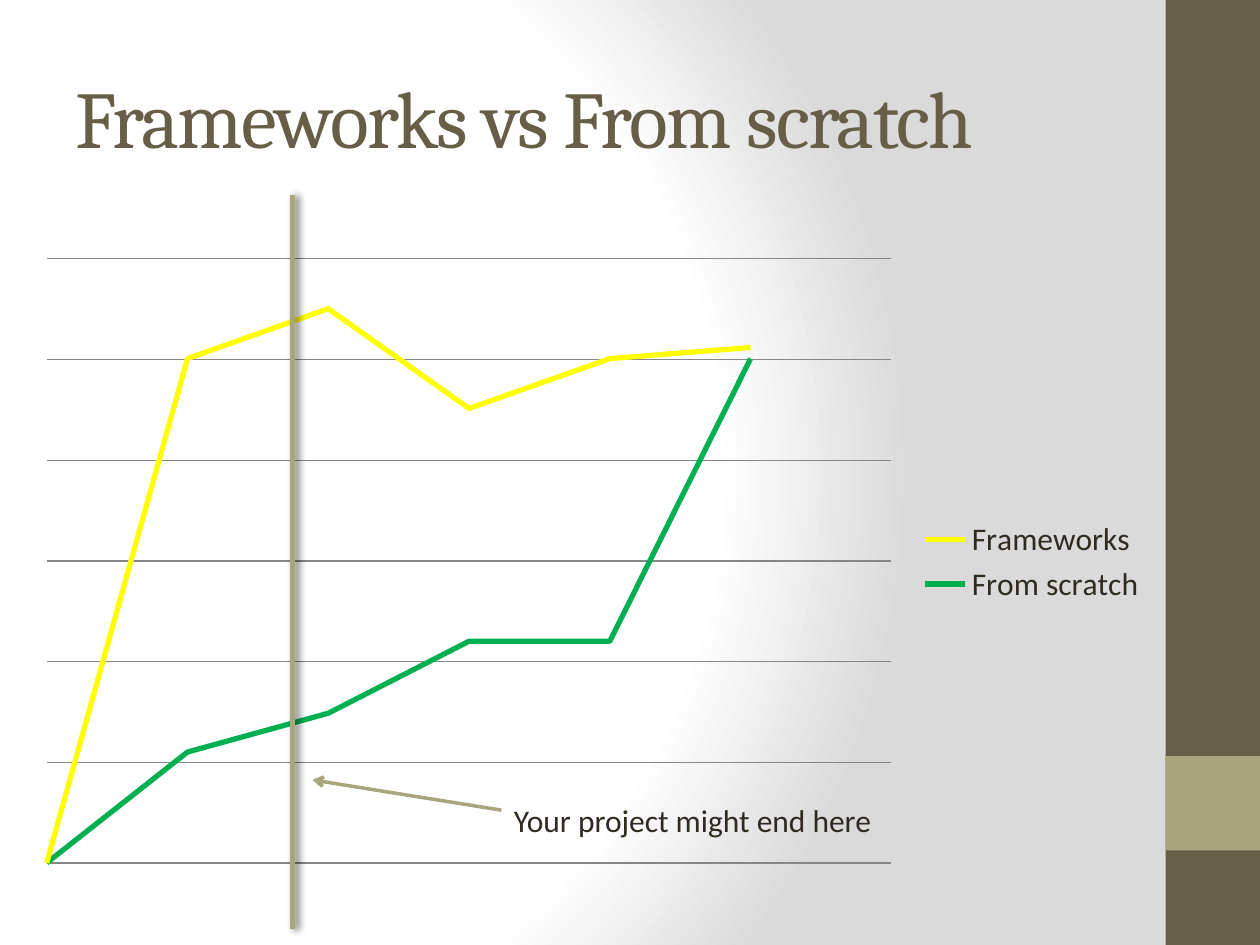
from lxml import etree
from pptx import Presentation
from pptx.chart.data import XyChartData
from pptx.dml.color import RGBColor
from pptx.enum.chart import XL_CHART_TYPE as ChartType, XL_LEGEND_POSITION as LegendPosition
from pptx.enum.shapes import MSO_CONNECTOR as Connector, MSO_SHAPE as Shape
from pptx.enum.text import MSO_ANCHOR as Anchor, MSO_AUTO_SIZE as AutoSize
from pptx.oxml import parse_xml
from pptx.oxml.ns import nsdecls, qn
from pptx.util import Inches, Pt

BROWN = RGBColor(0x67, 0x5E, 0x47)
KHAKI = RGBColor(0xA9, 0xA5, 0x7C)
INK = RGBColor(0x2F, 0x2B, 0x20)
GRID = RGBColor(0x86, 0x86, 0x86)
YELLOW = RGBColor(0xFF, 0xFF, 0x00)
GREEN = RGBColor(0x00, 0xB0, 0x50)
WHITE = RGBColor(0xFF, 0xFF, 0xFF)
SILVER = RGBColor(0xDA, 0xDA, 0xDA)

SERIES = [
    ("Frameworks", YELLOW, [0, 91, 100, 82, 91, 93]),
    ("From scratch", GREEN, [0, 20, 27, 40, 40, 91]),
]
VALUE_MAX = 109
INTERVALS = 6


def set_background(slide):
    stops = "".join(
        f'<a:gs pos="{position * 1000}"><a:srgbClr val="{color}"/></a:gs>'
        for position, color in [(0, WHITE), (75, WHITE), (100, SILVER)]
    )
    background = parse_xml(
        f'<p:bg {nsdecls("p", "a")}><p:bgPr><a:gradFill rotWithShape="1">'
        f'<a:gsLst>{stops}</a:gsLst><a:path path="circle">'
        '<a:fillToRect l="20000" t="50000" r="100000" b="50000"/></a:path>'
        '</a:gradFill><a:effectLst/></p:bgPr></p:bg>'
    )
    slide.element.cSld.insert(0, background)


def add_block(slide, left, top, width, height, color):
    block = slide.shapes.add_shape(
        Shape.RECTANGLE, Inches(left), Inches(top), Inches(width), Inches(height))
    block.shadow.inherit = False
    block.fill.solid()
    block.fill.fore_color.rgb = color
    block.line.fill.background()


def add_sidebar(slide, left, top, width, height):
    add_block(slide, left, top, width, height, BROWN)
    add_block(slide, left, top + 0.8 * height, width, width, KHAKI)


def add_text(slide, left, top, width, height, text, font_name, size, color):
    box = slide.shapes.add_textbox(
        Inches(left), Inches(top), Inches(width), Inches(height))
    paragraph = box.text_frame.paragraphs[0]
    paragraph.text = text
    paragraph.font.name = font_name
    paragraph.font.size = Pt(size)
    paragraph.font.color.rgb = color
    return box.text_frame


def add_title(slide, left, top, width, height):
    frame = add_text(slide, left, top, width, height,
                     "Frameworks vs From scratch", "Cambria", 46, BROWN)
    frame.word_wrap = True
    frame.vertical_anchor = Anchor.MIDDLE
    frame.paragraphs[0].runs[0].font._element.set("spc", "-100")


def set_plot_area(chart, x, y, w, h):
    plot_area = chart._chartSpace.chart.plotArea
    for old_layout in plot_area.findall(qn("c:layout")):
        plot_area.remove(old_layout)
    sizes = "".join(f'<c:{key} val="{value}"/>'
                    for key, value in [("x", x), ("y", y), ("w", w), ("h", h)])
    plot_area.insert(0, parse_xml(
        f'<c:layout {nsdecls("c")}><c:manualLayout><c:layoutTarget val="inner"/>'
        f'<c:xMode val="edge"/><c:yMode val="edge"/>{sizes}'
        '</c:manualLayout></c:layout>'))


def add_progress_chart(slide, left, top, width, height):
    data = XyChartData()
    for name, _, values in SERIES:
        series = data.add_series(name)
        for x, y in enumerate(values):
            series.add_data_point(x, y)
    chart = slide.shapes.add_chart(
        ChartType.XY_SCATTER_SMOOTH_NO_MARKERS, Inches(left), Inches(top),
        Inches(width), Inches(height), data).chart
    chart.has_title = False
    chart.font.name = "Calibri"
    chart.font.size = Pt(18)
    chart.font.color.rgb = INK
    chart.has_legend = True
    chart.legend.position = LegendPosition.RIGHT
    chart.legend.include_in_layout = False
    chart.plots[0].vary_by_categories = False
    for series, (_, color, _) in zip(chart.plots[0].series, SERIES):
        series.format.line.color.rgb = color
        series.format.line.width = Pt(3)
        series.smooth = True
    for axis, maximum in [(chart.category_axis, INTERVALS), (chart.value_axis, VALUE_MAX)]:
        axis.minimum_scale = 0
        axis.maximum_scale = maximum
        axis.major_unit = maximum / INTERVALS
        axis.has_major_gridlines = False
        axis.visible = False
    gridlines = chart.value_axis.major_gridlines.format.line
    gridlines.color.rgb = GRID
    gridlines.width = Pt(0.75)
    set_plot_area(chart, 0.019, 0.019, 0.745, 0.959)


def add_line(slide, start, end, width):
    line = slide.shapes.add_connector(
        Connector.STRAIGHT, *(Inches(length) for length in start + end))
    line.line.color.rgb = KHAKI
    line.line.width = Pt(width)
    effects = etree.SubElement(line._element.spPr, qn("a:effectLst"))
    return line, effects


def add_marker(slide, left, top, width, height):
    _, effects = add_line(slide, (left, top), (left, top + height), 3)
    effects.append(parse_xml(
        f'<a:outerShdw {nsdecls("a")} blurRad="{Pt(4)}" dist="{Pt(2)}" dir="0">'
        '<a:srgbClr val="000000"><a:alpha val="60000"/></a:srgbClr></a:outerShdw>'))
    label_left, label_top = left + 1.66, top + 4.76
    arrow, _ = add_line(slide, (label_left, label_top + 0.12),
                        (left + 0.16, label_top - 0.12), 2)
    etree.SubElement(arrow.line._get_or_add_ln(), qn("a:tailEnd"), type="arrow")
    frame = add_text(slide, label_left, label_top, left + width - label_left, 0.4,
                     "Your project might end here", "Calibri", 18, INK)
    frame.word_wrap = False
    frame.auto_size = AutoSize.SHAPE_TO_FIT_TEXT


def main():
    presentation = Presentation()
    presentation.slide_width = Inches(10)
    presentation.slide_height = Inches(7.5)
    slide = presentation.slides.add_slide(presentation.slide_layouts[6])
    set_background(slide)
    add_sidebar(slide, 9.25, 0, 0.75, 7.5)
    add_title(slide, 0.5, 0.3, 8.33, 1.25)
    add_progress_chart(slide, 0.2, 1.96, 9, 5)
    add_marker(slide, 2.32, 1.55, 5.31, 5.82)
    presentation.save("out.pptx")


if __name__ == "__main__":
    main()
